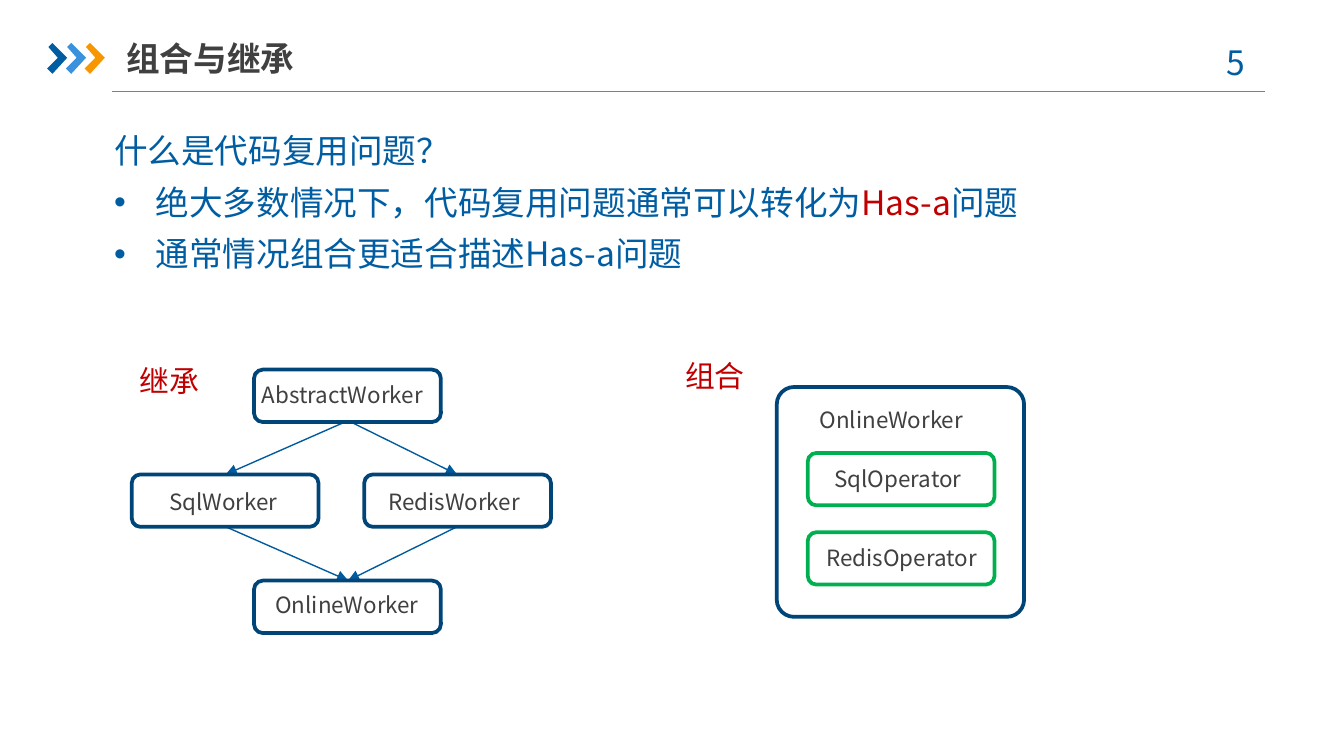
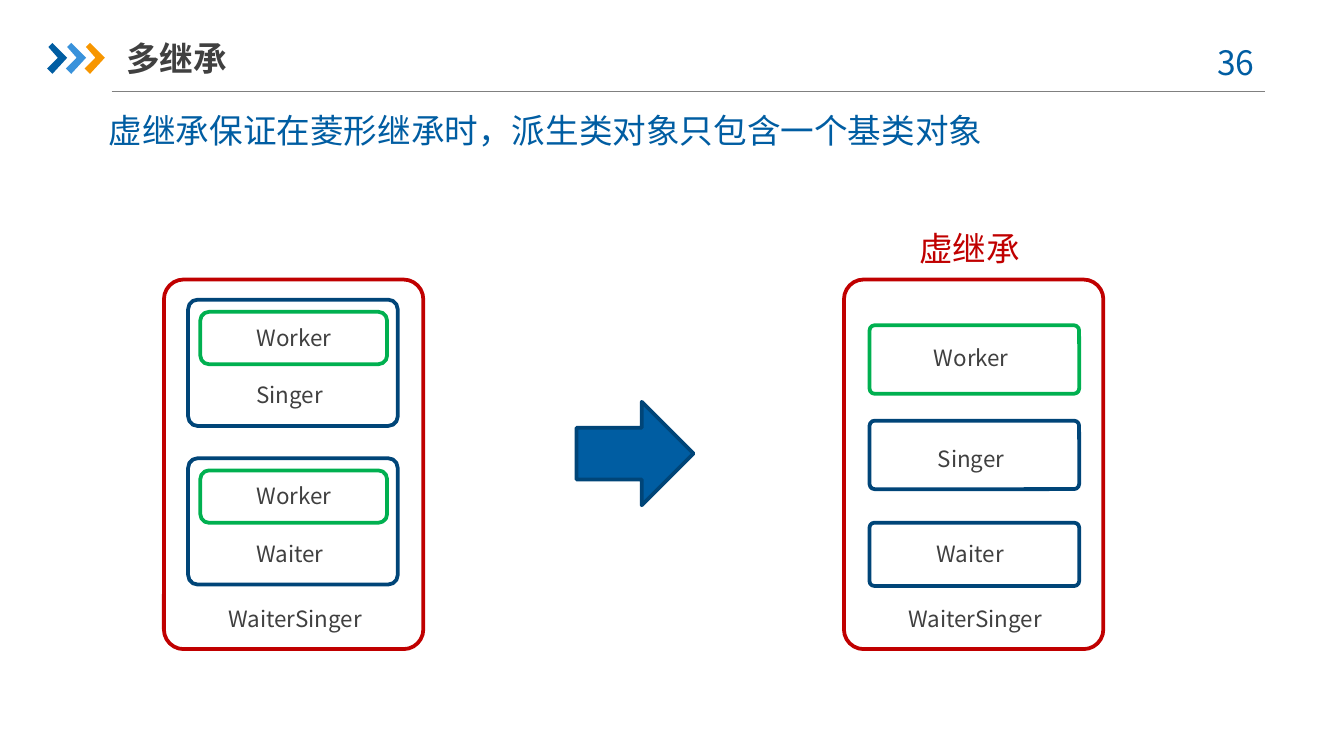
import pptx
import pptx.util
import pptx.dml.color
import pptx.enum.shapes
import pptx.enum.text
import pptx.oxml.ns
import lxml.etree

PX = 9144
FONT = "Noto Sans CJK SC"
COLORS = {
    "blue": "005DA2",
    "sky": "3992DB",
    "orange": "F79600",
    "navy": "004578",
    "arrow": "005B9E",
    "green": "00B050",
    "red": "C00000",
    "dark": "404040",
    "gray": "808080",
}
RGB = {name: pptx.dml.color.RGBColor.from_string(value) for name, value in COLORS.items()}
QN = pptx.oxml.ns.qn
SHAPES = pptx.enum.shapes.MSO_SHAPE
ALIGN = pptx.enum.text.PP_ALIGN


def add_text(slide, left, top, width, height, paragraphs, size=12, color="dark",
             align=None, space_after=None, bulleted_from=99):
    shape = slide.shapes.add_textbox(left * PX, top * PX, width * PX, height * PX)
    frame = shape.text_frame
    frame.word_wrap = True
    for index, runs in enumerate(paragraphs):
        paragraph = frame.add_paragraph() if index else frame.paragraphs[0]
        for text, run_color in runs:
            run = paragraph.add_run()
            run.text = text
            if run_color != color:
                run.font.color.rgb = RGB[run_color]
        paragraph.alignment = align
        if space_after:
            paragraph.space_after = pptx.util.Pt(space_after)
        properties = paragraph._p.get_or_add_pPr()
        if index >= bulleted_from:
            properties.set("marL", str(31 * PX))
            properties.set("indent", str(-31 * PX))
            lxml.etree.SubElement(properties, QN("a:buFont"), typeface="Arial")
            lxml.etree.SubElement(properties, QN("a:buChar"), char="•")
        paragraph.font.size = pptx.util.Pt(size)
        paragraph.font.color.rgb = RGB[color]
        paragraph.font.name = FONT
        lxml.etree.SubElement(properties.find(QN("a:defRPr")), QN("a:ea"), typeface=FONT)
    return shape


def add_box(slide, left, top, width, height, line, radius=None,
            kind=SHAPES.ROUNDED_RECTANGLE, fill=None):
    shape = slide.shapes.add_shape(kind, left * PX, top * PX, width * PX, height * PX)
    shape.shadow.inherit = False
    if radius:
        shape.adjustments[0] = radius
    if fill:
        shape.fill.solid()
        shape.fill.fore_color.rgb = RGB[fill]
    else:
        shape.fill.background()
    shape.line.color.rgb = RGB[line]
    shape.line.width = pptx.util.Pt(2)


presentation = pptx.Presentation()
presentation.slide_width = 1000 * PX
presentation.slide_height = pptx.util.Inches(5.625)
blank = presentation.slide_layouts[6]
reuse_slide = presentation.slides.add_slide(blank)
multiple_slide = presentation.slides.add_slide(blank)

rule = (83, 68, 941, 68)
lines = [
    (reuse_slide, *rule, "gray", False),
    (multiple_slide, *rule, "gray", False),
    (reuse_slide, 259, 313, 168, 353, "arrow", True),
    (reuse_slide, 259, 313, 340, 353, "arrow", True),
    (reuse_slide, 168, 392, 259, 432, "arrow", True),
    (reuse_slide, 340, 392, 259, 432, "arrow", True),
]
for slide, x1, y1, x2, y2, color, has_head in lines:
    connector = slide.shapes.add_connector(
        pptx.enum.shapes.MSO_CONNECTOR.STRAIGHT, x1 * PX, y1 * PX, x2 * PX, y2 * PX)
    connector.line.color.rgb = RGB[color]
    connector.line.width = pptx.util.Pt(0.75)
    if has_head:
        lxml.etree.SubElement(connector.line._get_or_add_ln(), QN("a:tailEnd"), type="triangle")
    lxml.etree.SubElement(connector._element.spPr, QN("a:effectLst"))

chevron = [(1, 3), (4, 0), (15, 11), (4, 23), (0, 19), (8, 11)]
for slide, title, number in [(reuse_slide, "组合与继承", "5 "), (multiple_slide, "多继承", "36 ")]:
    for index, color in enumerate(["blue", "sky", "orange"]):
        points = [(35 + 14 * index + x, 32 + y) for x, y in chevron]
        builder = slide.shapes.build_freeform(*points[0], scale=PX)
        builder.add_line_segments(points[1:], close=True)
        shape = builder.convert_to_shape()
        shape.shadow.inherit = False
        shape.fill.solid()
        shape.fill.fore_color.rgb = RGB[color]
        shape.line.fill.background()
    add_text(slide, 886, 26, 73, 40, [[(number, "blue")]], 18, "blue", ALIGN.CENTER)
    heading = add_text(slide, 94, 22, 257, 42, [[(title, "dark")]], 18)
    heading.text_frame.margin_left = heading.text_frame.margin_right = 0
    heading.text_frame.vertical_anchor = pptx.enum.text.MSO_ANCHOR.MIDDLE
    heading.text_frame.paragraphs[0].font.bold = True

add_text(reuse_slide, 75, 92, 701, 118, [
    [("什么是代码复用问题？", "blue")],
    [("绝大多数情况下，代码复用问题通常可以转化为", "blue"), ("Has-a", "red"), ("问题", "blue")],
    [("通常情况组合更适合描述Has-a问题", "blue")],
], 18, "blue", ALIGN.JUSTIFY, 6, bulleted_from=1)

add_box(reuse_slide, 578, 288, 184, 171, "navy", 0.075)
for left, top, color in [
    (98, 353, "navy"), (271, 353, "navy"), (189, 275, "navy"), (189, 432, "navy"),
    (601, 337, "green"), (601, 396, "green"),
]:
    add_box(reuse_slide, left, top, 139, 39, color)

for text, left, top, width in [
    ("SqlWorker", 116, 358, 104), ("RedisWorker", 279, 358, 122),
    ("AbstractWorker", 185, 279, 146), ("OnlineWorker", 195, 435, 132),
    ("OnlineWorker", 600, 297, 132), ("SqlOperator", 611, 341, 118),
    ("RedisOperator", 605, 400, 141),
]:
    add_text(reuse_slide, left, top, width, 30, [[(text, "dark")]])

for text, left, top, width in [("继承", 94, 265, 184), ("组合", 500, 261, 299)]:
    add_text(reuse_slide, left, top, width, 37, [[(text, "red")]], 16, "red")

add_text(multiple_slide, 71, 77, 858, 88,
         [[("虚继承保证在菱形继承时，派生类对象只包含一个基类对象", "blue")]],
         18, "blue", ALIGN.JUSTIFY, 12)

for top, name in [(223, "Singer"), (341, "Waiter")]:
    add_box(multiple_slide, 149, top + 9, 139, 39, "green")
    add_text(multiple_slide, 181, top + 13, 79, 30, [[("Worker", "dark")]])
    add_box(multiple_slide, 140, top, 156, 94, "navy", 0.076)
    add_text(multiple_slide, 181, top + 56, 79, 30, [[(name, "dark")]])

for left in (122, 628):
    add_box(multiple_slide, left, 208, 193, 275, "red", 0.076)
    add_text(multiple_slide, left + 38, 445, 134, 30, [[("WaiterSinger", "dark")]])

for name, top, height, color, text_left, text_top in [
    ("Worker", 242, 51, "green", 685, 251),
    ("Singer", 313, 51, "navy", 688, 326),
    ("Waiter", 389, 47, "navy", 687, 397),
]:
    add_box(multiple_slide, 647, top, 156, height, color, 0.076)
    add_text(multiple_slide, text_left, text_top, 79, 30, [[(name, "dark")]])

add_box(multiple_slide, 429, 299, 87, 77, "navy", kind=SHAPES.RIGHT_ARROW, fill="blue")
add_text(multiple_slide, 674, 165, 118, 40, [[("虚继承", "red")]], 18, "red")

presentation.save("out.pptx")
